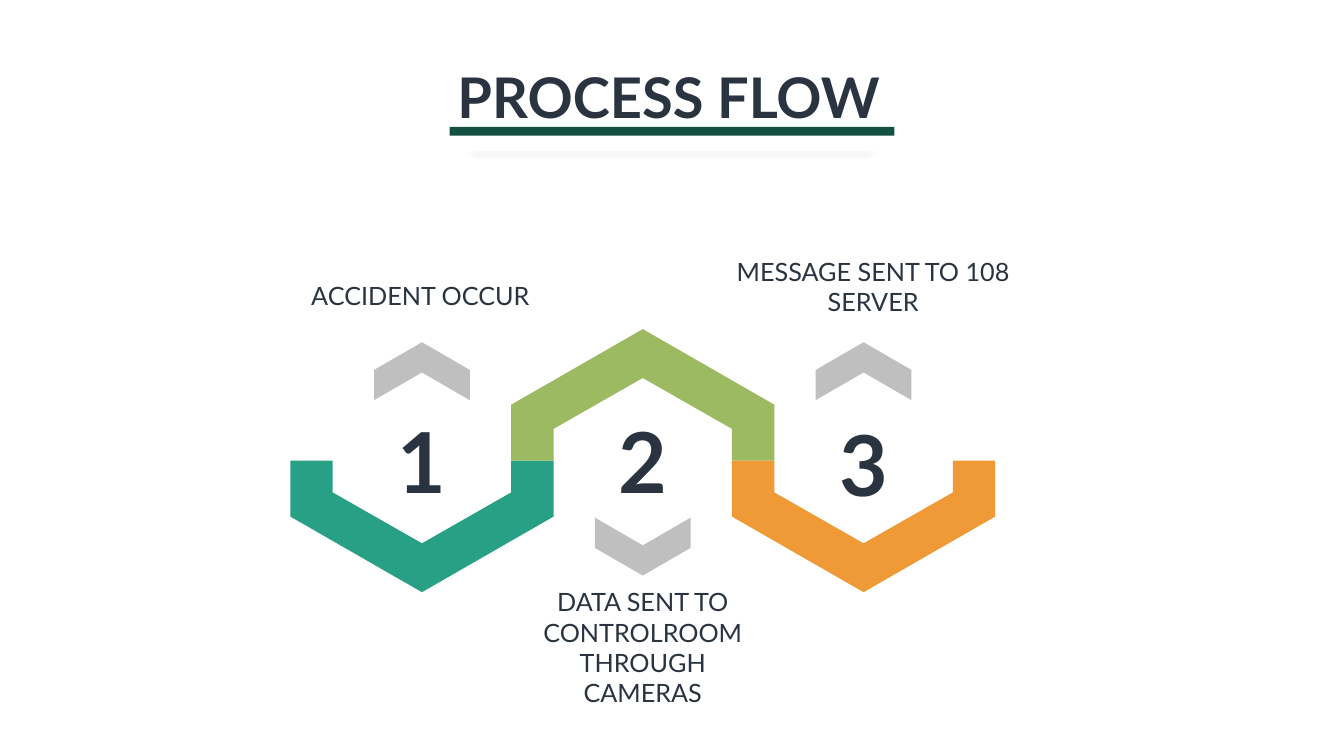
"""Build the three-step process flow slide."""
from dataclasses import dataclass

from lxml.etree import SubElement
from pptx import Presentation
from pptx.dml.color import RGBColor
from pptx.enum.shapes import MSO_SHAPE as Preset
from pptx.enum.text import MSO_ANCHOR as Anchor, MSO_AUTO_SIZE as AutoSize, PP_ALIGN as Align
from pptx.oxml.ns import qn
from pptx.util import Inches, Pt


@dataclass(frozen=True)
class Theme:
    font: str = "Lato"
    ink: str = "2A3340"
    rule: str = "145042"
    chevron: str = "BFBFBF"
    shadow: str = "000000"
    teal: str = "28A085"
    green: str = "9CBA61"
    orange: str = "F09A37"
    title_size: int = 80
    number_size: int = 120
    label_size: int = 36


@dataclass(frozen=True)
class Box:
    left: float
    top: float
    width: float
    height: float


@dataclass(frozen=True)
class Step:
    label: str
    label_box: Box
    color: str
    band_side: int
    chevron_tip: float
    number_top: float


THEME = Theme()
FIRST_CENTER, STEP_PITCH, AXIS = 8.37, 4.38, 9.14
BAND_HALF = [(0, 2.61), (2.61, 1.11), (2.61, 0), (1.77, 0), (1.77, 0.63), (0, 1.64)]
CHEVRON_HALF = [(0, 0), (0.95, 0.55), (0.95, 1.15), (0, 0.6)]
STEPS = [
    Step("ACCIDENT OCCUR", Box(4.61, 5.51, 7.46, 0.71), THEME.teal, 1, 6.79, 8.07),
    Step("DATA SENT TO CONTROLROOM THROUGH CAMERAS", Box(10.18, 11.59, 5.14, 1.92),
         THEME.green, -1, 11.42, 8.07),
    Step("MESSAGE SENT TO 108 SERVER", Box(14.39, 5.03, 5.86, 1.31),
         THEME.orange, 1, 6.79, 8.14),
]


def place(shape, box: Box) -> None:
    """Move and size a shape to a box given in inches."""
    shape.left, shape.top = Inches(box.left), Inches(box.top)
    shape.width, shape.height = Inches(box.width), Inches(box.height)


def write(shape, text: str, *, size: int, bold: bool = False) -> None:
    """Fill a shape with one centred, formatted paragraph."""
    frame = shape.text_frame
    frame.word_wrap = True
    frame.auto_size = AutoSize.SHAPE_TO_FIT_TEXT
    frame.vertical_anchor = Anchor.TOP
    frame.margin_left = frame.margin_right = Inches(0.15)
    frame.margin_top = frame.margin_bottom = Inches(0.05)
    paragraph = frame.paragraphs[0]
    paragraph.alignment = Align.CENTER
    run = paragraph.add_run()
    run.text = text
    run.font.name = THEME.font
    run.font.size = Pt(size)
    run.font.bold = bold
    run.font.color.rgb = RGBColor.from_string(THEME.ink)


def add_text(slide, box: Box, text: str, *, size: int, bold: bool = False) -> None:
    """Add a text box holding one formatted paragraph."""
    text_box = slide.shapes.add_textbox(0, 0, 0, 0)
    place(text_box, box)
    write(text_box, text, size=size, bold=bold)


def paint(shape, color: str) -> None:
    """Give a shape a plain fill without line or shadow."""
    shape.shadow.inherit = False
    shape.fill.solid()
    shape.fill.fore_color.rgb = RGBColor.from_string(color)
    shape.line.fill.background()


def add_mirrored(slide, center: float, base: float, side: int,
                 half: list[tuple[float, float]], color: str) -> None:
    """Draw an outline from its right half, mirrored about a vertical axis."""
    outline = half + [(-x, y) for x, y in reversed(half) if x]
    points = [(Inches(center + x), Inches(base + side * y)) for x, y in outline]
    builder = slide.shapes.build_freeform(*points[0])
    builder.add_line_segments(points[1:], close=True)
    paint(builder.convert_to_shape(), color)


def add_title(slide) -> None:
    """Place the title and the shadowed rule beneath it."""
    place(slide.shapes.title, Box(7.8, 1.19, 10.93, 1.45))
    write(slide.shapes.title, "PROCESS FLOW", size=THEME.title_size, bold=True)
    rule = slide.shapes.add_shape(Preset.RECTANGLE, 0, 0, 0, 0)
    place(rule, Box(8.92, 2.52, 8.82, 0.17))
    paint(rule, THEME.rule)
    effects = rule.element.spPr.find(qn("a:effectLst"))
    shadow = SubElement(effects, qn("a:outerShdw"), blurRad=str(Pt(12)), dist=str(Pt(25)),
                        dir="5400000", sx="90000", sy="-19000", rotWithShape="0")
    tint = SubElement(shadow, qn("a:srgbClr"), val=THEME.shadow)
    SubElement(tint, qn("a:alpha"), val="15000")


def add_step(slide, number: int, step: Step) -> None:
    """Draw one step with its band, chevron, number and label."""
    center = FIRST_CENTER + (number - 1) * STEP_PITCH
    add_mirrored(slide, center, AXIS, step.band_side, BAND_HALF, step.color)
    add_mirrored(slide, center, step.chevron_tip, step.band_side, CHEVRON_HALF, THEME.chevron)
    add_text(slide, Box(center - 1.11, step.number_top, 2.22, 2.12), str(number),
             size=THEME.number_size, bold=True)
    add_text(slide, step.label_box, step.label, size=THEME.label_size)


def main() -> None:
    """Build and save the slide."""
    deck = Presentation()
    deck.slide_width, deck.slide_height = Inches(26.66), Inches(15)
    slide = deck.slides.add_slide(deck.slide_layouts.get_by_name("Title Only"))
    add_title(slide)
    for number, step in enumerate(STEPS, start=1):
        add_step(slide, number, step)
    deck.save("out.pptx")


if __name__ == "__main__":
    main()
